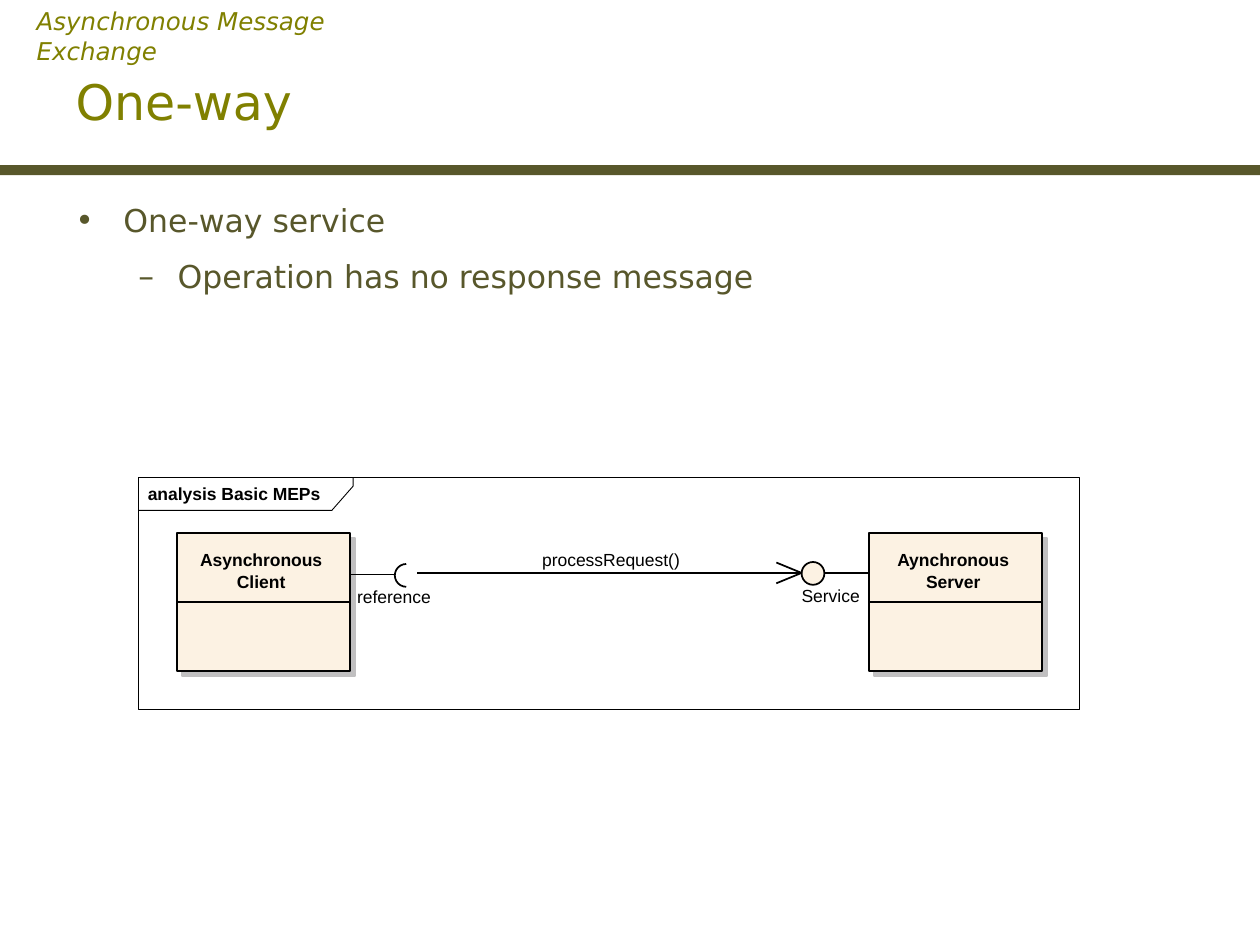
import pptx
import pptx.util
from pptx.dml.color import RGBColor
from pptx.enum.shapes import MSO_CONNECTOR, MSO_SHAPE
from pptx.enum.text import MSO_ANCHOR, PP_ALIGN
from pptx.oxml.ns import qn
from lxml import etree

Cm = pptx.util.Cm
Pt = pptx.util.Pt

OLIVE = RGBColor(0x80, 0x80, 0x00)
MOSS = RGBColor(0x58, 0x57, 0x2B)
BLACK = RGBColor(0x00, 0x00, 0x00)
CREAM = RGBColor(0xFC, 0xF2, 0xE3)
SHADE = RGBColor(0xC0, 0xBF, 0xC0)


class SlideBuilder:
    text_font = "DejaVu Sans"
    diagram_font = "Arial"
    label_size = 10
    label_height = 0.43
    hairline = 0.5
    stroke = 1

    def __init__(self, slide):
        self.slide = slide

    def font(self, paragraph, name, size, color, bold=False, italic=False):
        font = paragraph.font
        font.name, font.size, font.bold, font.italic = name, Pt(size), bold, italic
        font.color.rgb = color

    def title(self, text, left, top, width, height):
        title = self.slide.shapes.title
        title.left, title.top = Cm(left), Cm(top)
        title.width, title.height = Cm(width), Cm(height)
        title.text_frame.text = text
        title.text_frame.vertical_anchor = MSO_ANCHOR.MIDDLE
        heading = title.text_frame.paragraphs[0]
        heading.alignment = PP_ALIGN.LEFT
        self.font(heading, self.text_font, 28, OLIVE)

    def text_box(self, left, top, width, height):
        box = self.slide.shapes.add_textbox(Cm(left), Cm(top), Cm(width), Cm(height))
        box.text_frame.word_wrap = True
        return box.text_frame

    def topic(self, text, left, top, width, height):
        frame = self.text_box(left, top, width, height)
        frame.text = text
        self.font(frame.paragraphs[0], self.text_font, 14, OLIVE, italic=True)

    def bullets(self, items, left, top, width, height):
        frame = self.text_box(left, top, width, height)
        styles = [("•", 0.97, 0.97), ("–", 2.06, 0.79)]
        for index, (level, text) in enumerate(items):
            paragraph = frame.add_paragraph() if index else frame.paragraphs[0]
            paragraph.text = text
            paragraph.level = level
            mark, margin, hanging = styles[level]
            properties = paragraph._p.get_or_add_pPr()
            properties.set("marL", str(Cm(margin)))
            properties.set("indent", str(-Cm(hanging)))
            bullet_color = etree.SubElement(properties, qn("a:buClr"))
            etree.SubElement(bullet_color, qn("a:srgbClr"), val=str(MOSS))
            etree.SubElement(properties, qn("a:buFont"), typeface=self.text_font)
            etree.SubElement(properties, qn("a:buChar"), char=mark)
            paragraph.line_spacing = Pt(26)
            paragraph.space_after = Pt(6)
            self.font(paragraph, self.text_font, 18, MOSS)

    def label(self, text, left, top, width, bold=False, align=PP_ALIGN.LEFT):
        frame = self.text_box(left, top, width, self.label_height)
        frame.margin_left = frame.margin_right = 0
        frame.margin_top = frame.margin_bottom = 0
        frame.text = text
        frame.paragraphs[0].alignment = align
        self.font(frame.paragraphs[0], self.diagram_font, self.label_size, BLACK, bold)

    def outline(self, shape, fill, line, weight):
        shape.shadow.inherit = False
        if fill is None:
            shape.fill.background()
        else:
            shape.fill.solid()
            shape.fill.fore_color.rgb = fill
        if line is None:
            shape.line.fill.background()
        else:
            shape.line.color.rgb = line
            shape.line.width = Pt(weight)

    def shape(self, kind, left, top, width, height, fill=None, line=BLACK, weight=stroke):
        shape = self.slide.shapes.add_shape(
            kind, Cm(left), Cm(top), Cm(width), Cm(height))
        self.outline(shape, fill, line, weight)
        return shape

    def polyline(self, points, weight=stroke):
        start, *rest = [(Cm(x), Cm(y)) for x, y in points]
        builder = self.slide.shapes.build_freeform(*start)
        builder.add_line_segments(rest, close=False)
        self.outline(builder.convert_to_shape(), None, BLACK, weight)

    def line(self, x1, y1, x2, y2):
        line = self.slide.shapes.add_connector(
            MSO_CONNECTOR.STRAIGHT, Cm(x1), Cm(y1), Cm(x2), Cm(y2))
        line.line.color.rgb = BLACK
        line.line.width = Pt(self.stroke)
        etree.SubElement(line._element.spPr, qn("a:effectLst"))

    def class_box(self, name_lines, left, top, width, height):
        self.shape(MSO_SHAPE.RECTANGLE, left + 0.1, top + 0.1, width, height, SHADE, SHADE)
        self.shape(MSO_SHAPE.RECTANGLE, left, top, width, height, CREAM)
        for row, text in enumerate(name_lines):
            self.label(text, left, top + 0.33 + 0.45 * row, width - 0.1,
                       bold=True, align=PP_ALIGN.CENTER)
        self.line(left, top + height / 2, left + width, top + height / 2)


def main():
    deck = pptx.Presentation()
    deck.slide_width, deck.slide_height = Cm(25.4), Cm(19.05)
    builder = SlideBuilder(deck.slides.add_slide(deck.slide_layouts[5]))

    # Heading and rule
    builder.shape(MSO_SHAPE.RECTANGLE, 0, 3.33, 25.4, 0.2, MOSS, None)
    builder.title("One-way", 1.27, 0.86, 23.06, 2.34)
    builder.topic("Asynchronous Message Exchange", 0.49, 0, 7.85, 0.86)

    # Diagram frame with its name tab
    frame_left, frame_top = 2.79, 9.63
    builder.shape(MSO_SHAPE.RECTANGLE, frame_left, frame_top, 18.98, 4.67,
                  weight=builder.hairline)
    builder.polyline([(frame_left, 10.29), (6.69, 10.29), (7.12, 9.8), (7.12, frame_top)],
                     builder.hairline)
    builder.label("analysis Basic MEPs", 2.98, 9.73, 3.8, bold=True)

    # Client and server
    client_left, server_left, class_top = 3.57, 17.52, 10.74
    class_width, class_height = 3.49, 2.79
    for name_lines, left in ((("Aynchronous", "Server"), server_left),
                             (("Asynchronous", "Client"), client_left)):
        builder.class_box(name_lines, left, class_top, class_width, class_height)

    # Provided interface of the server
    message_y, port = 11.55, 0.46
    service_left = 16.16
    builder.line(server_left, message_y, service_left + port, message_y)
    builder.shape(MSO_SHAPE.OVAL, service_left, 11.33, port, port, CREAM)
    builder.label("Service", service_left, 11.79, 1.35)

    # Required interface of the client: the left half of a circle
    socket_left = 7.96
    builder.line(client_left + class_width, 11.58, socket_left, 11.58)
    socket = builder.shape(MSO_SHAPE.ARC, socket_left, 11.37, port, port)
    socket.adjustments[0], socket.adjustments[1] = 54, 162
    builder.label("reference", 7.2, 11.81, 1.7)

    # Request message with its open arrowhead
    head_x = service_left - 0.51
    builder.polyline([(8.41, message_y), (service_left, message_y),
                      (head_x, message_y + 0.21)])
    builder.line(service_left, message_y, head_x, message_y - 0.21)
    builder.label("processRequest()", 10.93, 11.07, 3.2)

    # Bullet text
    builder.bullets([(0, "One-way service"), (1, "Operation has no response message")],
                    1.27, 3.78, 23.06, 13.18)

    deck.save("out.pptx")


if __name__ == "__main__":
    main()
